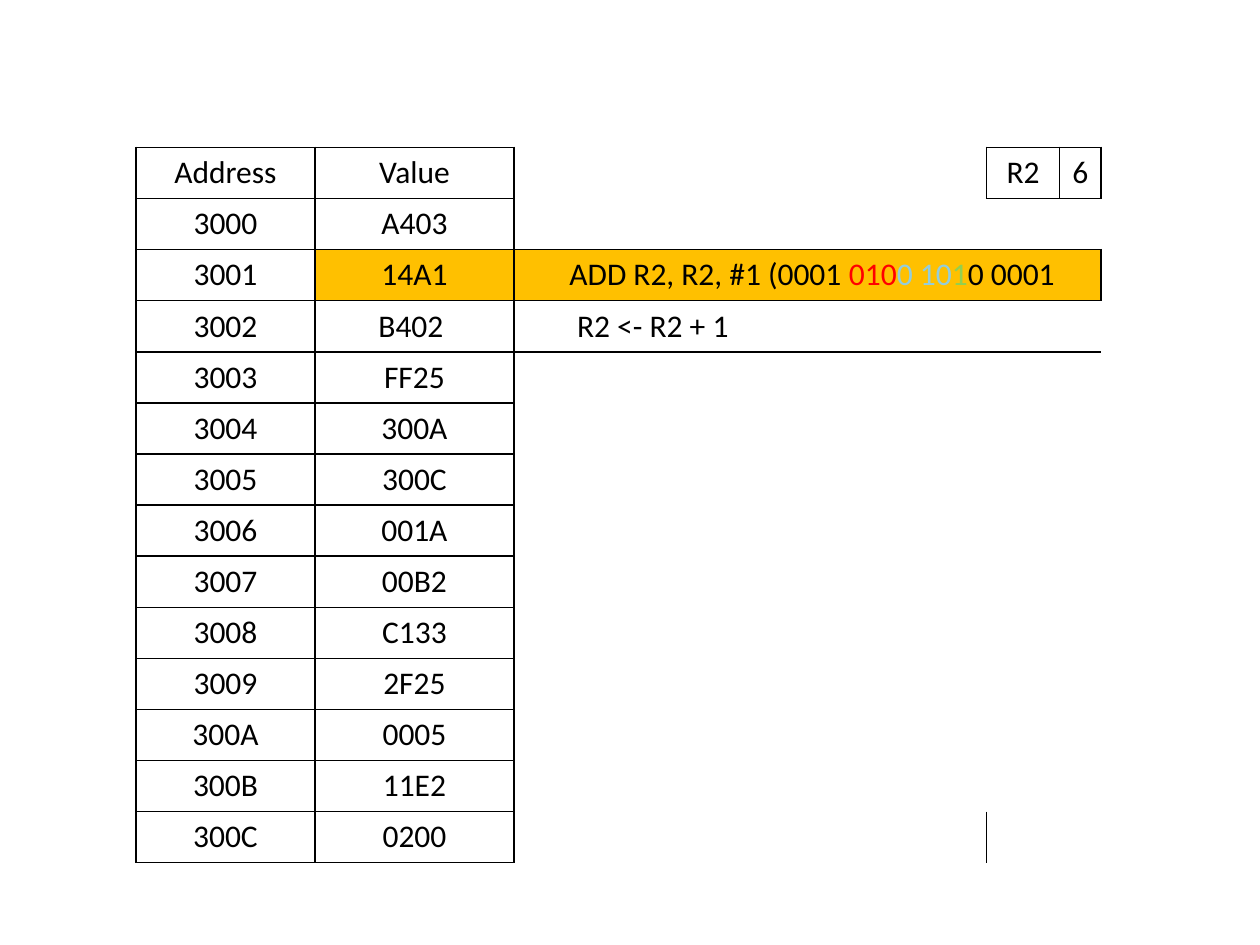
from pptx import Presentation
from pptx.dml.color import RGBColor
from pptx.enum.text import PP_ALIGN
from pptx.oxml import parse_xml
from pptx.oxml.ns import nsdecls
from pptx.util import Inches, Pt

BLACK, WHITE, ORANGE = "000000", "FFFFFF", "FFC000"
RED, BLUE, GREEN = "FF0000", "93CDDD", "92D050"


def color(value):
    return RGBColor.from_string(value)


class SlideBuilder:
    font = "Calibri"
    size = Pt(18)
    line_width = Pt(1)

    def __init__(self, slide):
        self.slide = slide

    def table(self, rows, widths, left, top, height):
        frame = self.slide.shapes.add_table(
            rows, len(widths), Inches(left), Inches(top),
            Inches(sum(widths)), Inches(height))
        table = frame.table
        table.first_row = table.horz_banding = False
        for column, width in zip(table.columns, widths):
            column.width = Inches(width)
        return table

    def text(self, cell, runs, indent=None):
        paragraph = cell.text_frame.paragraphs[0]
        if indent is None:
            paragraph.alignment = PP_ALIGN.CENTER
        else:
            cell.margin_left = Inches(indent)
        for words, run_color in runs:
            run = paragraph.add_run()
            run.text = words
            run.font.name = self.font
            run.font.size = self.size
            run.font.color.rgb = color(run_color)

    def borders(self, cell, sides):
        properties = cell._tc.get_or_add_tcPr()
        for position, side in enumerate("LRTB"):
            fill = (f'<a:solidFill><a:srgbClr val="{BLACK}"/></a:solidFill>'
                    if side in sides else "<a:noFill/>")
            line = parse_xml(f'<a:ln{side} {nsdecls("a")} '
                             f'w="{self.line_width}">{fill}</a:ln{side}>')
            properties.insert(position, line)

    def fill(self, cell, value):
        cell.fill.solid()
        cell.fill.fore_color.rgb = color(value)


presentation = Presentation()
presentation.slide_width = Inches(10)
presentation.slide_height = Inches(7.5)
slide = presentation.slides.add_slide(presentation.slide_layouts[6])
builder = SlideBuilder(slide)

# Memory contents: addresses count up from x3000
values = ["A403", "14A1", "B402 ", "FF25", "300A", "300C", "001A",
          "00B2", "C133", "2F25", "0005", "11E2", "0200"]
memory = [("Address", "Value")]
memory += [(f"{0x3000 + offset:X}", value)
           for offset, value in enumerate(values)]
ACTIVE_ROW, RESULT_ROW, LAST_ROW = 2, 3, len(memory) - 1
NOTE, REGISTER, REGISTER_VALUE = 2, 3, 4

table = builder.table(len(memory), [1.42, 1.58, 3.75, 0.58, 0.33],
                      1.08, 1.17, 5.68)


# A side is ruled when the cell or its neighbour belongs to a box
def is_boxed(row, column):
    if not (0 <= row <= LAST_ROW and 0 <= column <= REGISTER_VALUE):
        return False
    return (column < NOTE or row == ACTIVE_ROW
            or (row == 0 and column >= REGISTER))


def is_ruled(row, column, side):
    row_step, column_step = {"L": (0, -1), "R": (0, 1),
                             "T": (-1, 0), "B": (1, 0)}[side]
    neighbour = (row + row_step, column + column_step)
    if is_boxed(row, column) or is_boxed(*neighbour):
        return True
    under_result = column >= NOTE and (row, side) in (
        (RESULT_ROW, "B"), (RESULT_ROW + 1, "T"))
    last_divider = row == LAST_ROW and (column, side) in (
        (NOTE, "R"), (REGISTER, "L"))
    return under_result or last_divider


for row in range(len(memory)):
    for column in range(len(table.columns)):
        cell = table.cell(row, column)
        builder.borders(cell, [side for side in "LRTB"
                               if is_ruled(row, column, side)])
        active = row == ACTIVE_ROW and column > 0
        builder.fill(cell, ORANGE if active else WHITE)
        if column < NOTE:
            builder.text(cell, [(memory[row][column], BLACK)])

# Register R2
builder.text(table.cell(0, REGISTER), [("R2", BLACK)])
builder.text(table.cell(0, REGISTER_VALUE), [("6", BLACK)])

# Active instruction with its coloured bit fields, and its effect
instruction = table.cell(ACTIVE_ROW, NOTE)
instruction.merge(table.cell(ACTIVE_ROW, REGISTER_VALUE))
builder.text(instruction, [("ADD R2, R2, #1 (0001 ", BLACK), ("010", RED),
                           ("0 10", BLUE), ("1", GREEN),
                           ("0 0001", BLACK)], indent=0.44)
builder.text(table.cell(RESULT_ROW, NOTE), [("R2 <- R2 + 1 ", BLACK)],
             indent=0.5)

presentation.save("out.pptx")
